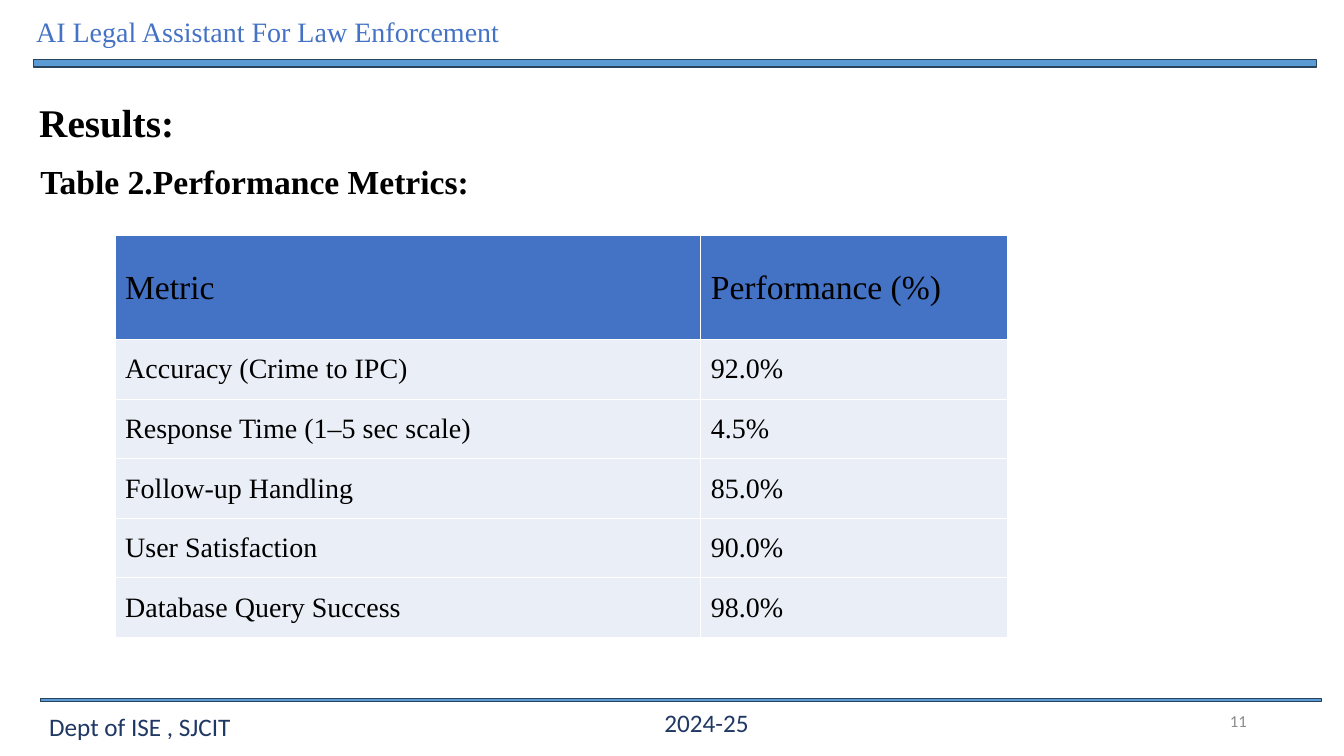
"""Builds the performance metrics slide of the legal assistant presentation."""
from dataclasses import dataclass

from lxml.etree import SubElement
from pptx import Presentation
from pptx.dml.color import RGBColor
from pptx.enum.shapes import MSO_SHAPE
from pptx.enum.text import MSO_ANCHOR, PP_ALIGN
from pptx.oxml.ns import qn
from pptx.slide import Slide
from pptx.table import _Cell
from pptx.text.text import TextFrame
from pptx.util import Cm, Pt

SERIF = "Times New Roman"
SANS = "Calibri"
BLACK = "000000"
WHITE = "FFFFFF"
BLUE = "4472C4"
NAVY = "203864"
PALE_BLUE = "EAEFF7"

COLUMN_WIDTHS = (14.76, 7.72)
HEADER_HEIGHT = 2.62
ROW_HEIGHT = 1.5
METRICS = (
    ("Metric", "Performance (%)"),
    ("Accuracy (Crime to IPC)", "92.0%"),
    ("Response Time (1–5 sec scale)", "4.5%"),
    ("Follow-up Handling", "85.0%"),
    ("User Satisfaction", "90.0%"),
    ("Database Query Success", "98.0%"),
)


@dataclass(frozen=True)
class Rule:
    left: float
    top: float
    width: float
    height: float
    thickness: float


@dataclass(frozen=True)
class Label:
    text: str
    left: float
    top: float
    width: float
    height: float
    size: int
    font: str
    color: str
    bold: bool = False
    align: PP_ALIGN = PP_ALIGN.LEFT
    anchor: MSO_ANCHOR = MSO_ANCHOR.TOP
    line_spacing: float = 1.0
    wrap: bool = True


RULES = (
    Rule(-4.98, 1.45, 43.99, 0.3, 0.62),
    Rule(-4.8, 17.58, 43.92, 0.13, 0.56),
)
LABELS = (
    Label("AI Legal Assistant For Law Enforcement", 0.66, 0.25, 12.8, 1.12, 20, SERIF, BLUE),
    Label("Results:", 0.74, 1.75, 10.74, 1.83, 28, SERIF, BLACK, bold=True,
          align=PP_ALIGN.JUSTIFY, line_spacing=1.5),
    Label("Table 2.Performance Metrics:", 0.3, 3.94, 12.24, 1.27, 24, SERIF, BLACK,
          bold=True, align=PP_ALIGN.CENTER),
    Label("Dept of ISE , SJCIT", 0.99, 17.81, 5.13, 1.02, 18, SANS, NAVY, wrap=False),
    Label("2024-25", 15.95, 17.7, 3.71, 1.02, 18, SANS, NAVY, align=PP_ALIGN.CENTER),
    Label("11", 30.68, 17.65, 0.99, 1.02, 12, SANS, "8C8C8C",
          align=PP_ALIGN.RIGHT, anchor=MSO_ANCHOR.MIDDLE),
)


def rgb(color: str) -> RGBColor:
    return RGBColor.from_string(color)


def write_text(frame: TextFrame, text: str, *, size: int, font: str = SERIF,
               color: str = BLACK, bold: bool = False,
               align: PP_ALIGN = PP_ALIGN.LEFT, line_spacing: float = 1.0) -> None:
    paragraph = frame.paragraphs[0]
    paragraph.alignment = align
    paragraph.line_spacing = line_spacing
    run = paragraph.add_run()
    run.text = text
    run.font.size = Pt(size)
    run.font.name = font
    run.font.bold = bold
    run.font.color.rgb = rgb(color)


def add_rule(slide: Slide, rule: Rule) -> None:
    shape = slide.shapes.add_shape(MSO_SHAPE.MATH_MINUS, Cm(rule.left), Cm(rule.top),
                                   Cm(rule.width), Cm(rule.height))
    shape.adjustments[0] = rule.thickness
    shape.shadow.inherit = False
    shape.fill.solid()
    shape.fill.fore_color.rgb = rgb("5B9BD5")
    shape.line.color.rgb = rgb("28445D")
    shape.line.width = Pt(1)


def add_label(slide: Slide, label: Label) -> None:
    box = slide.shapes.add_textbox(Cm(label.left), Cm(label.top),
                                   Cm(label.width), Cm(label.height))
    frame = box.text_frame
    frame.word_wrap = label.wrap
    frame.vertical_anchor = label.anchor
    write_text(frame, label.text, size=label.size, font=label.font, color=label.color,
               bold=label.bold, align=label.align, line_spacing=label.line_spacing)


def add_borders(cell: _Cell, color: str) -> None:
    properties = cell._tc.get_or_add_tcPr()
    for position, side in enumerate(("lnL", "lnR", "lnT", "lnB")):
        border = SubElement(properties, qn(f"a:{side}"), w=str(Pt(1)))
        fill = SubElement(border, qn("a:solidFill"))
        SubElement(fill, qn("a:srgbClr"), val=color)
        properties.insert(position, border)


def add_metrics_table(slide: Slide) -> None:
    height = HEADER_HEIGHT + ROW_HEIGHT * (len(METRICS) - 1)
    table = slide.shapes.add_table(len(METRICS), len(COLUMN_WIDTHS), Cm(2.9), Cm(5.94),
                                   Cm(sum(COLUMN_WIDTHS)), Cm(height)).table
    for column, width in zip(table.columns, COLUMN_WIDTHS):
        column.width = Cm(width)
    for row_index, texts in enumerate(METRICS):
        is_header = row_index == 0
        table.rows[row_index].height = Cm(HEADER_HEIGHT if is_header else ROW_HEIGHT)
        for column_index, text in enumerate(texts):
            cell = table.cell(row_index, column_index)
            cell.vertical_anchor = MSO_ANCHOR.MIDDLE
            cell.fill.solid()
            cell.fill.fore_color.rgb = rgb(BLUE if is_header else PALE_BLUE)
            add_borders(cell, WHITE)
            write_text(cell.text_frame, text, size=24 if is_header else 20)


def main() -> None:
    presentation = Presentation()
    presentation.slide_width = Cm(33.87)
    presentation.slide_height = Cm(19.05)
    slide = presentation.slides.add_slide(presentation.slide_layouts[6])
    for rule in RULES:
        add_rule(slide, rule)
    for label in LABELS:
        add_label(slide, label)
    add_metrics_table(slide)
    presentation.save("out.pptx")


if __name__ == "__main__":
    main()
